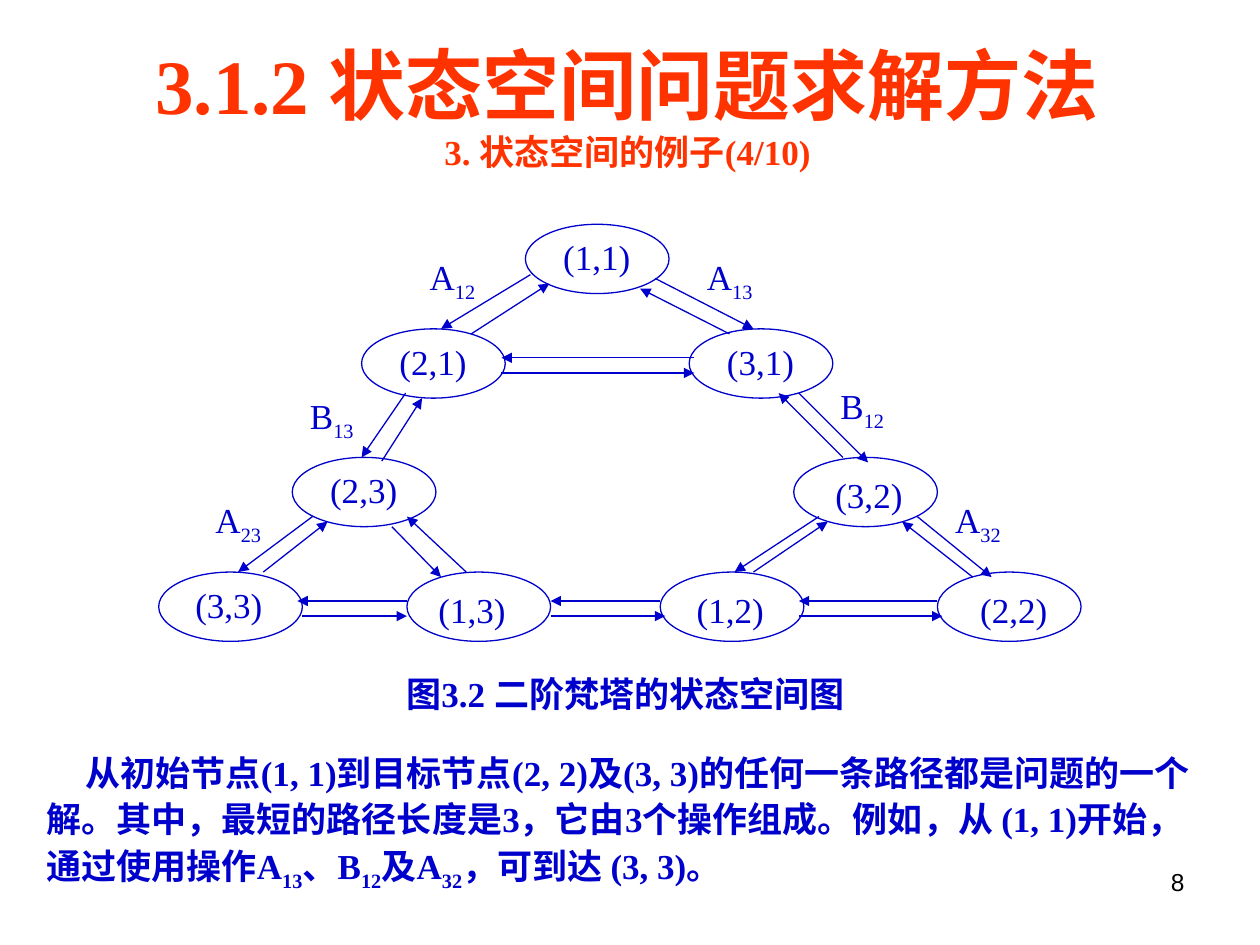
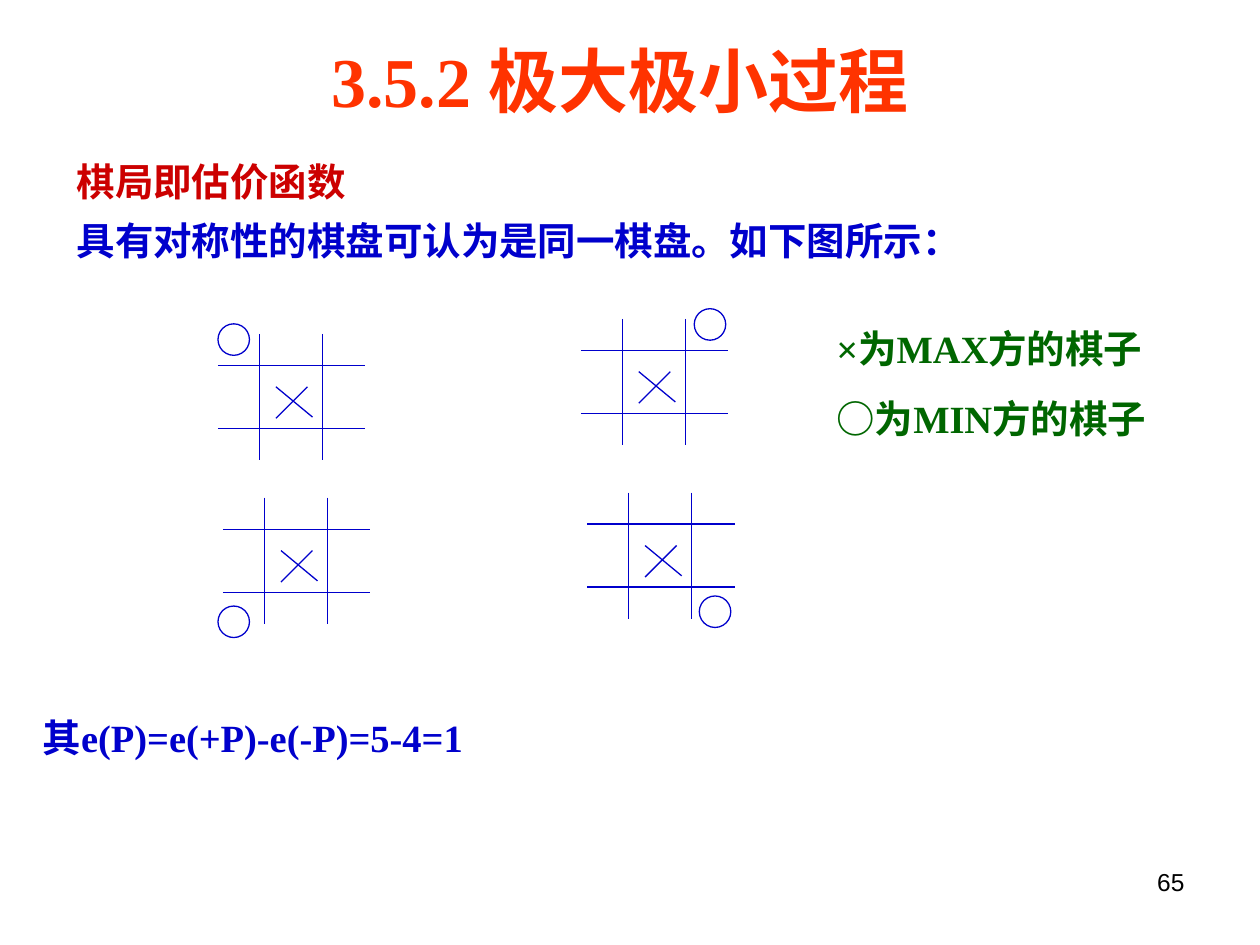
from lxml import etree
from pptx import Presentation
from pptx import util as u
from pptx.dml import color
from pptx.enum import shapes, text
from pptx.oxml import ns

COLORS = {"blue": "0000CC", "orange": "FF3300", "red": "CC0000",
          "green": "006600", "black": "000000", "white": "FFFFFF"}
SERIF, SANS = "Times New Roman", "Arial"
WIDE, TIGHT = (0.1, 0.05), (0.02, 0.01)  # text insets: sides, top and bottom
ALIGN = text.PP_ALIGN

# Slide 1 content. Runs alternate between normal text and subscript.
TOWER_TITLE = [(["3.1.2 状态空间问题求解方法"], 44), (["3. 状态空间的例子(4/10)"], 20)]
CAPTION = ["图3.2 二阶梵塔的状态空间图"]
EXPLANATION = [
    "从初始节点(1, 1)到目标节点(2, 2)及(3, 3)的任何一条路径都是问题的一个解。"
    "其中，最短的路径长度是3，它由3个操作组成。例如，从 (1, 1)开始，通过使用操作A",
    "13", "、B", "12", "及A", "32", "，可到达 (3, 3)。"]

NODE_SIZE = (1.14, 0.55)
STATES = [  # state, node corner, label offset
    ("(1,1)", (4.17, 1.78), (0.28, 0.08)),
    ("(2,1)", (2.87, 2.61), (0.28, 0.08)),
    ("(3,1)", (5.47, 2.61), (0.28, 0.08)),
    ("(2,3)", (2.32, 3.63), (0.28, 0.08)),
    ("(3,2)", (6.3, 3.63), (0.31, 0.12)),
    ("(3,3)", (1.26, 4.54), (0.27, 0.08)),
    ("(1,3)", (3.23, 4.54), (0.23, 0.12)),
    ("(1,2)", (5.24, 4.54), (0.27, 0.12)),
    ("(2,2)", (7.44, 4.54), (0.32, 0.12)),
]
OPERATORS = [
    (["A", "12"], (3.39, 2.02)), (["A", "13"], (5.59, 2.02)),
    (["B", "13"], (2.44, 3.12)), (["B", "12"], (6.65, 3.04)),
    (["A", "23"], (1.69, 3.95)), (["A", "32"], (7.56, 3.95)),
]
MOVES = [  # each pair of states: a move and its reverse
    ((4.21, 2.18, 3.5, 2.61), (3.74, 2.65, 4.36, 2.25)),
    ((5.2, 2.21, 5.98, 2.61), (5.79, 2.65, 5.08, 2.29)),
    ((5.51, 2.84, 3.98, 2.84), (3.98, 2.96, 5.51, 2.96)),
    ((3.22, 3.12, 2.87, 3.63), (3.03, 3.66, 3.35, 3.16)),
    ((6.34, 3.12, 6.89, 3.67), (6.69, 3.63, 6.18, 3.12)),
    ((2.48, 4.1, 1.89, 4.54), (2.09, 4.54, 2.6, 4.14)),
    ((3.11, 4.18, 3.5, 4.58), (3.7, 4.54, 3.23, 4.1)),
    ((6.5, 4.1, 5.83, 4.54), (5.98, 4.54, 6.57, 4.14)),
    ((7.28, 4.1, 7.87, 4.58), (7.72, 4.58, 7.16, 4.14)),
    ((3.23, 4.77, 2.36, 4.77), (2.4, 4.89, 3.23, 4.89)),
    ((5.24, 4.77, 4.37, 4.77), (4.37, 4.89, 5.28, 4.89)),
    ((7.44, 4.77, 6.34, 4.77), (6.34, 4.89, 7.48, 4.89)),
]

# Slide 2 content
MINIMAX_TITLE = [(["3.5.2 极大极小过程"], 40)]
INTRO = [("棋局即估价函数", "red"),
         ("具有对称性的棋盘可认为是同一棋盘。如下图所示：", "blue")]
LEGEND = ["×为MAX方的棋子", "○为MIN方的棋子"]
EVALUATION = ["其e(P)=e(+P)-e(-P)=5-4=1"]
BOARDS = [  # grid corner, corner of the MIN piece
    ((1.73, 2.65), (1.73, 2.57)), ((4.61, 2.53), (5.51, 2.45)),
    ((1.77, 3.95), (1.73, 4.81)), ((4.66, 3.91), (5.55, 4.73)),
]
BOARD_LINES = [(0, y, 1.17, y) for y in (0.25, 0.75)]
BOARD_LINES += [(x, 0, x, 1) for x in (0.33, 0.83)]
CROSS = [(0.71, 0.42, 0.46, 0.67), (0.46, 0.42, 0.75, 0.66)]
PIECE = 0.25


def rgb(name):
    return color.RGBColor.from_string(COLORS[name])


def inches(values):
    return [u.Inches(v) for v in values]


def set_frame(shape, insets=WIDE):
    frame = shape.text_frame
    frame.word_wrap = True
    frame.auto_size = text.MSO_AUTO_SIZE.NONE
    frame.vertical_anchor = text.MSO_ANCHOR.TOP
    frame.margin_left = frame.margin_right = u.Inches(insets[0])
    frame.margin_top = frame.margin_bottom = u.Inches(insets[1])
    return frame


def add_paragraph(frame, runs, size, hue="blue", bold=True, font=SERIF,
                  align=ALIGN.LEFT, spacing=1.0, before=0, margin=0, indent=0):
    """Write into the empty first paragraph, or into a new one after it."""
    first = not frame.paragraphs[0].runs
    para = frame.paragraphs[0] if first else frame.add_paragraph()
    para.alignment, para.line_spacing = align, spacing
    para.space_before = u.Pt(0 if first else before)
    props = para._p.get_or_add_pPr()
    props.set("marL", str(u.Inches(margin)))
    props.set("indent", str(u.Inches(indent)))
    for i, words in enumerate(runs):
        run = para.add_run()
        run.text = words
        run.font.name, run.font.size, run.font.bold = font, u.Pt(size), bold
        run.font.color.rgb = rgb(hue)
        if i % 2:
            run._r.get_or_add_rPr().set("baseline", "-25000")


def add_text(slide, at, runs, size, insets=WIDE, **style):
    frame = set_frame(slide.shapes.add_textbox(*inches(at)), insets)
    add_paragraph(frame, runs, size, **style)
    return frame


def add_line(slide, ends, arrow=False):
    line = slide.shapes.add_connector(shapes.MSO_CONNECTOR.STRAIGHT, *inches(ends))
    line.line.color.rgb, line.line.width = rgb("blue"), u.Pt(0.75)
    props = line._element.spPr
    if arrow:
        outline = props.find(ns.qn("a:ln"))
        etree.SubElement(outline, ns.qn("a:tailEnd")).set("type", "triangle")
    etree.SubElement(props, ns.qn("a:effectLst"))


def add_ellipse(slide, at):
    ellipse = slide.shapes.add_shape(shapes.MSO_SHAPE.OVAL, *inches(at))
    ellipse.shadow.inherit = False
    ellipse.fill.background()
    ellipse.line.color.rgb, ellipse.line.width = rgb("blue"), u.Pt(0.75)


def shift(points, corner):
    return [p + corner[i % 2] for i, p in enumerate(points)]


def new_slide(deck, title_lines, title_at, page):
    """A slide with the shared title style and page number."""
    slide = deck.slides.add_slide(deck.slide_layouts[5])
    title = slide.shapes.title
    title.left, title.top, title.width, title.height = inches(title_at)
    frame = set_frame(title)
    for runs, size in title_lines:
        add_paragraph(frame, runs, size, hue="orange", align=ALIGN.CENTER)
    add_text(slide, (7.17, 6.83, 2.33, 0.52), [page], 14, hue="black",
             bold=False, font=SANS, align=ALIGN.RIGHT)
    return slide


def build_tower(deck):
    slide = new_slide(deck, TOWER_TITLE, (0.51, 0.25, 8.94, 1.17), "8")
    # State graph
    for state, corner, offset in STATES:
        add_ellipse(slide, (*corner, *NODE_SIZE))
        add_text(slide, (*shift(offset, corner), 0.63, 0.36), [state], 20,
                 TIGHT, bold=False)
    for pair in MOVES:
        for ends in pair:
            add_line(slide, ends, arrow=True)
    for runs, corner in OPERATORS:
        add_text(slide, (*corner, 0.5, 0.4), runs, 20, TIGHT, bold=False)
    # Caption and explanation
    add_text(slide, (1.46, 5.29, 7.01, 0.44), CAPTION, 20, align=ALIGN.CENTER)
    add_text(slide, (0.27, 5.88, 9.45, 1.25), EXPLANATION, 20,
             spacing=1.1, indent=0.31)


def build_minimax(deck):
    slide = new_slide(deck, MINIMAX_TITLE, (1.3, 0.25, 7.24, 0.77), "65")
    # Introduction on a white panel
    panel = slide.shapes.add_shape(shapes.MSO_SHAPE.RECTANGLE,
                                   *inches((0.24, 1.19, 9.45, 0.95)))
    panel.shadow.inherit = False
    panel.fill.solid()
    panel.fill.fore_color.rgb = rgb("white")
    panel.line.fill.background()
    frame = set_frame(panel)
    for words, hue in INTRO:
        add_paragraph(frame, [words], 22, hue=hue, align=ALIGN.JUSTIFY,
                      spacing=1.05, before=5.5, margin=0.27)
    # Four symmetric boards
    for corner, piece in BOARDS:
        for ends in BOARD_LINES + CROSS:
            add_line(slide, shift(ends, corner))
        add_ellipse(slide, (*piece, PIECE, PIECE))
    # Legend and evaluation
    legend = add_text(slide, (6.54, 2.53, 3.03, 1.03), LEGEND[:1], 22, hue="green")
    add_paragraph(legend, LEGEND[1:], 22, hue="green", before=13.8)
    add_text(slide, (0.24, 5.6, 9.49, 0.49), EVALUATION, 22, spacing=1.05)


def main():
    deck = Presentation()
    deck.slide_width, deck.slide_height = inches((10, 7.5))
    build_tower(deck)
    build_minimax(deck)
    deck.save("out.pptx")


if __name__ == "__main__":
    main()
